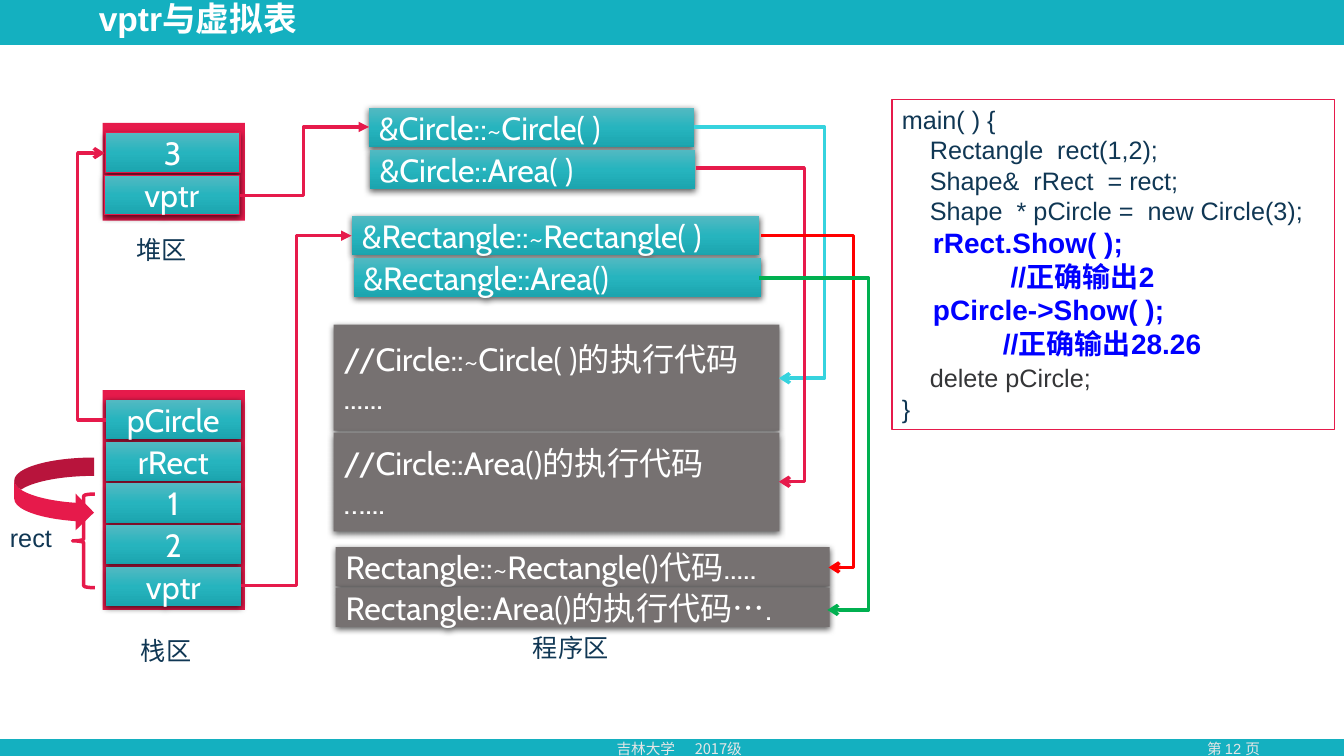
"""Build a slide on vptr and virtual tables: memory cells, code boxes and links."""
from lxml import etree
from pptx import Presentation
from pptx import util as u
from pptx.dml.color import RGBColor
from pptx.enum import shapes, text
from pptx.oxml import parse_xml
from pptx.oxml.ns import nsdecls, qn

TEAL, PINK, NAVY, GREY, WHITE = "14B0C0", "E61A4B", "103754", "767171", "FFFFFF"
PALE, BLUE, INK = "E7E6E6", "0000FF", "343537"
GRADIENT = [(0, "53B9C2"), (50, "26B4BE"), (100, "1CA5AF")]
CJK = "Noto Sans CJK SC"
LEFT, CENTER = text.PP_ALIGN.LEFT, text.PP_ALIGN.CENTER
KIND = shapes.MSO_SHAPE

BARS = [
    (KIND.RECTANGLE, (0, 0, 33.87, 19.05), TEAL),
    (KIND.RECTANGLE, (0, 1.14, 33.87, 17.48), WHITE),
    (KIND.RECTANGLE, (2.59, 3.1, 3.58, 2.46), PINK),
    (KIND.RECTANGLE, (2.59, 9.83, 3.58, 5.54), PINK),
]
POINTER = (KIND.CURVED_RIGHT_ARROW, (0.36, 11.53, 2.01, 1.85), PINK)
BRACE = (KIND.LEFT_BRACE, (1.83, 12.45, 0.56, 2.36), None)

# x, y, width, height, pitch, x step, fill, outline, alignment, texts
STACKS = [
    (2.65, 3.35, 3.4, 0.99, 1.07, -0.02, GRADIENT, PINK, CENTER, ["3", "vptr"]),
    (2.67, 10.08, 3.4, 0.99, 1.05, 0, GRADIENT, None, CENTER,
     ["pCircle", "rRect", "1", "2", "vptr"]),
    (9.3, 2.72, 8.2, 0.99, 1.05, 0.02, GRADIENT, None, LEFT,
     ["&Circle::~Circle( )", "&Circle::Area( )"]),
    (8.87, 5.44, 10.27, 0.99, 1.05, 0.04, GRADIENT, None, LEFT,
     ["&Rectangle::~Rectangle( )", "&Rectangle::Area()"]),
    (8.41, 8.18, 11.23, 2.67, 0, 0, GREY, None, LEFT,
     ["//Circle::~Circle( )的执行代码\n......"]),
    (8.41, 10.9, 11.23, 2.49, 0, 0, GREY, None, LEFT,
     ["//Circle::Area()的执行代码\n…..."]),
    (8.46, 13.79, 12.45, 0.99, 1.02, 0, GREY, None, LEFT,
     ["Rectangle::~Rectangle()代码.....", "Rectangle::Area()的执行代码…."]),
]

LABELS = [
    ((0, 13.03, 1.75, 1.02), "rect"),
    ((3.3, 15.88, 2.39, 1.02), "栈区"),
    ((3.18, 5.77, 2.39, 1.02), "堆区"),
    ((13.18, 15.82, 3.84, 1.02), "程序区"),
]

PLAIN = {"size": 18, "color": NAVY}
STRONG = {"size": 20, "color": BLUE, "bold": True}
CODE_BOX = (22.48, 2.51, 11.15, 8.31)
CODE = [
    ("main( ) {", PLAIN, 0),
    ("    Rectangle  rect(1,2);", PLAIN, 0),
    ("    Shape&  rRect  = rect;", PLAIN, 0),
    ("    Shape  * pCircle =  new Circle(3);", PLAIN, 0),
    ("    rRect.Show( );", STRONG, 0),
    ("              //正确输出2", STRONG, 0),
    ("    pCircle->Show( );", STRONG, 0),
    ("             //正确输出28.26", STRONG, 0),
    ("    delete pCircle;", {"size": 18, "color": INK}, 2),
    ("}", PLAIN, 0),
]

# start x, start y, turn x, end x, end y, colour, arrowhead
LINKS = [
    (6.07, 14.76, 7.47, 8.86, 5.94, PINK, "triangle"),
    (6.02, 4.93, 7.65, 9.3, 3.2, PINK, "triangle"),
    (2.67, 10.59, 1.96, 2.64, 3.86, PINK, "arrow"),
    (17.5, 3.2, 20.78, 19.63, 9.53, "36D3DE", "arrow"),
    (17.53, 4.24, 20.27, 19.63, 12.14, PINK, "arrow"),
    (19.18, 5.94, 21.51, 20.88, 14.3, "FF0000", "arrow"),
    (19.13, 7.01, 21.89, 20.85, 15.37, "00B050", "arrow"),
]


def rgb(value):
    return RGBColor.from_string(value)


def cm(values):
    return [u.Cm(v) for v in values]


def write(tf, lines, anchor=text.MSO_ANCHOR.TOP, **para):
    for name, value in {"word_wrap": True, "vertical_anchor": anchor}.items():
        setattr(tf, name, value)
    for i, (line, style, before) in enumerate(lines):
        p = tf.add_paragraph() if i else tf.paragraphs[0]
        for name, value in para.items():
            setattr(p, name, value)
        if before:
            p.space_before = u.Pt(before)
        r = p.add_run()
        r.text = line
        font = {"name": style.get("name", "Arial"), "size": u.Pt(style["size"]),
                "bold": style.get("bold", False)}
        for name, value in font.items():
            setattr(r.font, name, value)
        r.font.color.rgb = rgb(style["color"])
        etree.SubElement(r.font._element, qn("a:ea")).set("typeface", CJK)


def add_text(s, box, line, style, **para):
    tf = s.shapes.add_textbox(*cm(box)).text_frame
    write(tf, [(line, style, 0)], **para)
    return tf


def add_shape(s, kind, box, fill=None, line=None, width=0.75):
    sp = s.shapes.add_shape(kind, *cm(box))
    sp.shadow.inherit = False
    if fill is None:
        sp.fill.background()
    elif isinstance(fill, str):
        sp.fill.solid()
        sp.fill.fore_color.rgb = rgb(fill)
    else:
        sp.fill.gradient()
        sp.fill.gradient_angle = 270
        stops = sp._element.spPr.find(".//" + qn("a:gsLst"))
        stops[:] = [parse_xml(f'<a:gs {nsdecls("a")} pos="{pos * 1000}">'
                              f'<a:srgbClr val="{color}"/></a:gs>') for pos, color in fill]
    if line:
        sp.line.color.rgb = rgb(line)
        sp.line.width = u.Pt(width)
    else:
        sp.line.fill.background()
    return sp


def add_cell_shadow(sp):
    sp._element.spPr.find(qn("a:effectLst")).append(parse_xml(
        f'<a:outerShdw {nsdecls("a")} blurRad="{u.Pt(4.5)}" dist="{u.Pt(1.5)}" '
        'dir="5400000" algn="ctr" rotWithShape="0"><a:srgbClr val="000000">'
        '<a:alpha val="63000"/></a:srgbClr></a:outerShdw>'))


def add_link(s, x1, y1, turn, x2, y2, color, head):
    c = s.shapes.add_connector(shapes.MSO_CONNECTOR.ELBOW, *cm((x1, y1, x2, y2)))
    c.line.color.rgb = rgb(color)
    c.line.width = u.Pt(2.5)
    spPr = c._element.spPr
    guide = etree.SubElement(spPr.find(".//" + qn("a:avLst")), qn("a:gd"))
    guide.set("name", "adj1")
    guide.set("fmla", f"val {round((turn - x1) / (x2 - x1) * 100000)}")
    etree.SubElement(spPr.find(qn("a:ln")), qn("a:tailEnd")).set("type", head)
    etree.SubElement(spPr, qn("a:effectLst"))


def main():
    prs = Presentation()
    prs.slide_width, prs.slide_height = cm((33.87, 19.05))
    s = prs.slides.add_slide(prs.slide_layouts[6])

    for bar in BARS:
        add_shape(s, *bar)
    small = {"size": 10.5, "color": PALE}
    add_text(s, (28.75, 18.52, 4.67, 0.71), "第 12 页", small, alignment=CENTER)
    tf = add_text(s, (15.29, 18.52, 4.67, 0.71), "吉林大学\t2017级", {**small, "name": CJK})
    tabs = etree.SubElement(tf.paragraphs[0]._p.get_or_add_pPr(), qn("a:tabLst"))
    tab = etree.SubElement(tabs, qn("a:tab"))
    tab.set("pos", str(u.Cm(1.97)))
    tab.set("algn", "l")
    tf = add_text(s, (2.24, 0.1, 19.51, 0.99), "vptr与虚拟表",
                  {"size": 24, "color": WHITE, "bold": True}, line_spacing=0.9)
    tf.vertical_anchor = text.MSO_ANCHOR.BOTTOM

    cell = {"size": 23, "color": WHITE, "name": "Cabin"}
    for x, y, w, h, pitch, step, fill, line, align, texts in STACKS:
        for i, words in enumerate(texts):
            box = (x + i * step, y + i * pitch, w, h)
            sp = add_shape(s, KIND.RECTANGLE, box, fill, line)
            add_cell_shadow(sp)
            write(sp.text_frame, [(t, cell, 0) for t in words.split("\n")],
                  text.MSO_ANCHOR.MIDDLE, alignment=align)

    for box, words in LABELS:
        add_text(s, box, words, PLAIN)
    add_shape(s, *BRACE, PINK, 2.5)
    add_shape(s, *POINTER)
    sp = add_shape(s, KIND.RECTANGLE, CODE_BOX, WHITE, PINK)
    write(sp.text_frame, CODE, alignment=LEFT)
    for link in LINKS:
        add_link(s, *link)
    prs.save("out.pptx")


if __name__ == "__main__":
    main()
